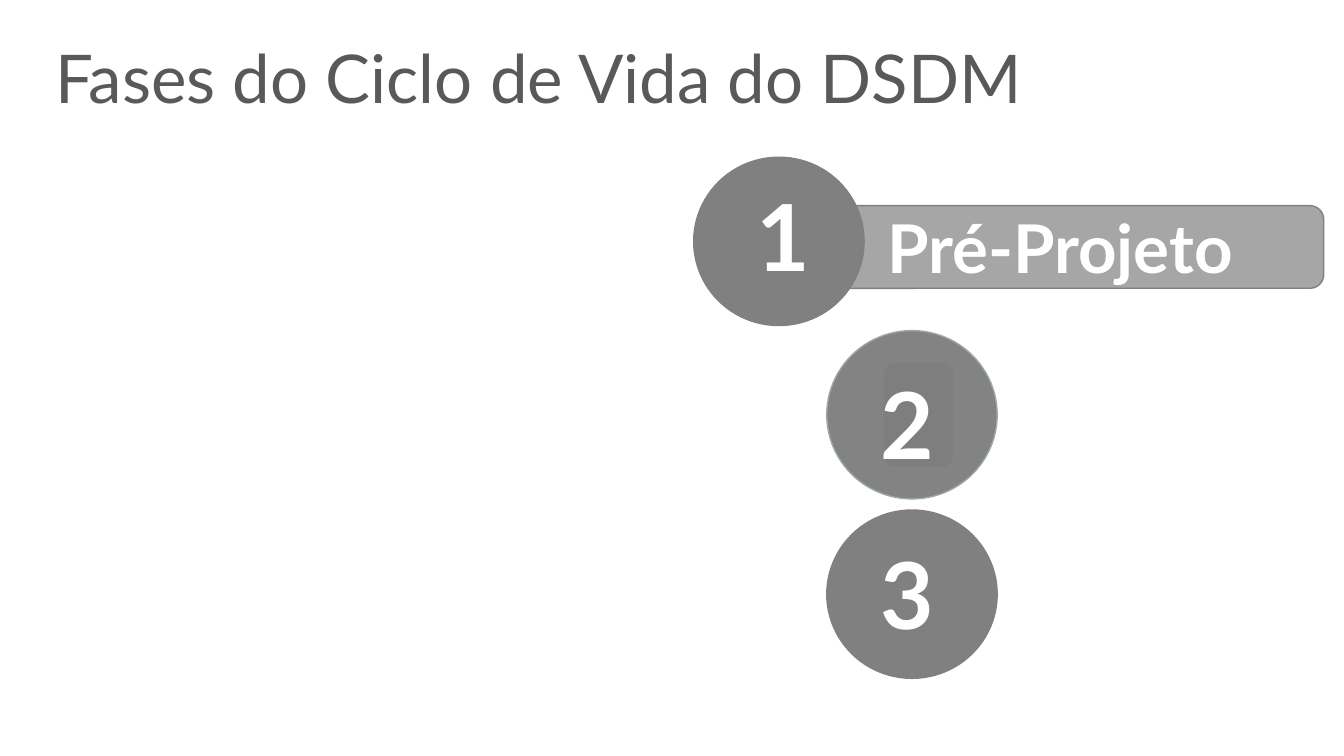
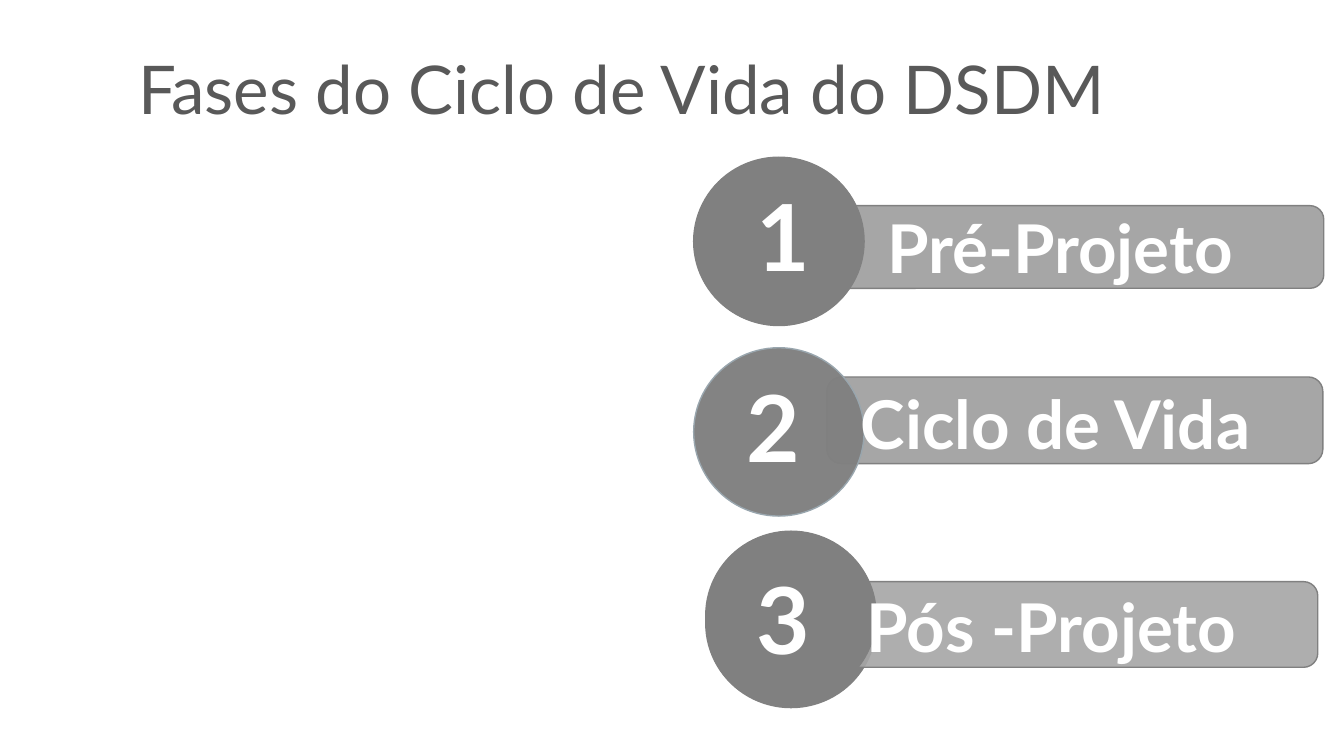
from dataclasses import dataclass

from lxml import etree
from pptx import Presentation
from pptx.dml.color import RGBColor
from pptx.enum.shapes import MSO_SHAPE
from pptx.enum.text import MSO_ANCHOR, MSO_AUTO_SIZE, PP_ALIGN
from pptx.oxml.ns import qn
from pptx.util import Emu, Pt

CIRCLE = MSO_SHAPE.OVAL
BAR = MSO_SHAPE.FLOWCHART_ALTERNATE_PROCESS
LEFT = PP_ALIGN.LEFT
TOP = MSO_ANCHOR.TOP
NO_FIT = MSO_AUTO_SIZE.NONE

PX = 9144
WIDTH, HEIGHT = 1333, 750
DISK_W, DISK_H = 169, 167


@dataclass(frozen=True)
class Theme:
    font: str = "Lato"
    ink: str = "595959"
    disk: str = "808080"
    bar: str = "A6A6A6"
    rim: str = "99A6AE"
    olive: str = "72951A"
    white: str = "FFFFFF"
    title_size: int = 48
    label_size: int = 48
    number_size: int = 66
    line_width: int = 1


def px(*values):
    return [Emu(v * PX) for v in values]


class Deck:
    def __init__(self, theme):
        self.theme = theme
        self.prs = Presentation()
        self.prs.slide_width, self.prs.slide_height = px(WIDTH, HEIGHT)
        self.slide = None

    def set_text(self, tf, text, size, color, bold=False):
        frame = {"word_wrap": True, "auto_size": NO_FIT, "vertical_anchor": TOP}
        for name, value in frame.items():
            setattr(tf, name, value)
        p = tf.paragraphs[0]
        p.alignment = LEFT
        r = p.add_run()
        r.text = text
        font = {"name": self.theme.font, "size": Pt(size), "bold": bold}
        for name, value in font.items():
            setattr(r.font, name, value)
        r.font.color.rgb = RGBColor.from_string(color)

    def title(self, text, x, y):
        self.slide = self.prs.slides.add_slide(self.prs.slide_layouts[5])
        s = self.slide.shapes.title
        s.left, s.top, s.width, s.height = px(x, y, 1165, 91)
        self.set_text(s.text_frame, text, self.theme.title_size, self.theme.ink)

    def text(self, shapes, box, text, size):
        tb = shapes.add_textbox(*px(*box))
        self.set_text(tb.text_frame, text, size, self.theme.white, True)

    def shape(self, shapes, kind, box, fill, line, opacity=100):
        s = shapes.add_shape(kind, *px(*box))
        s.shadow.inherit = False
        s.fill.solid()
        s.fill.fore_color.rgb = RGBColor.from_string(fill)
        s.line.color.rgb = RGBColor.from_string(line)
        s.line.width = Pt(self.theme.line_width)
        if opacity < 100:
            color = s.element.spPr.find(qn("a:solidFill"))[0]
            etree.SubElement(color, qn("a:alpha"), val=str(opacity * 1000))

    def marker(self, x, y):
        self.shape(self.slide.shapes, BAR, (x, y, 68, 103),
                   self.theme.ink, self.theme.olive)

    def bar(self, x, y, w, h, opacity=100):
        self.shape(self.slide.shapes, BAR, (x, y, w, h),
                   self.theme.bar, self.theme.disk, opacity)

    def disk(self, shapes, x, y, line=None, opacity=100):
        self.shape(shapes, CIRCLE, (x, y, DISK_W, DISK_H),
                   self.theme.disk, line or self.theme.disk, opacity)

    def number(self, text, disk, offset, **look):
        (x, y), (dx, dy) = disk, offset
        group = self.slide.shapes.add_group_shape().shapes
        self.disk(group, x, y, **look)
        self.text(group, (x + dx, y + dy, 103, 121), text, self.theme.number_size)

    def label(self, text, x, y):
        self.text(self.slide.shapes, (x, y, WIDTH - x, 91), text,
                  self.theme.label_size)


def first_phase(deck):
    deck.bar(820, 204, 493, 82)
    deck.number("1", (688, 156), (53, 17))
    deck.label("Pré-Projeto", 870, 200)


def main():
    theme = Theme()
    deck = Deck(theme)
    heading = "Fases do Ciclo de Vida do DSDM"
    glass = {"line": theme.rim, "opacity": 97}

    deck.title(heading, 45, 31)
    deck.marker(877, 360)
    deck.number("2", (820, 328), (43, 31), **glass)
    deck.number("3", (820, 506), (43, 22))
    first_phase(deck)

    deck.title(heading, 127, 42)
    deck.disk(deck.slide.shapes, 700, 535)
    first_phase(deck)
    deck.bar(820, 374, 492, 86)
    deck.number("2", (688, 345), (43, 17), **glass)
    deck.label("Ciclo de Vida", 844, 374)
    deck.bar(819, 577, 488, 85, 91)
    deck.number("3", (700, 527), (41, 26))
    deck.label("Pós -Projeto", 850, 576)

    deck.prs.save("out.pptx")


if __name__ == "__main__":
    main()
